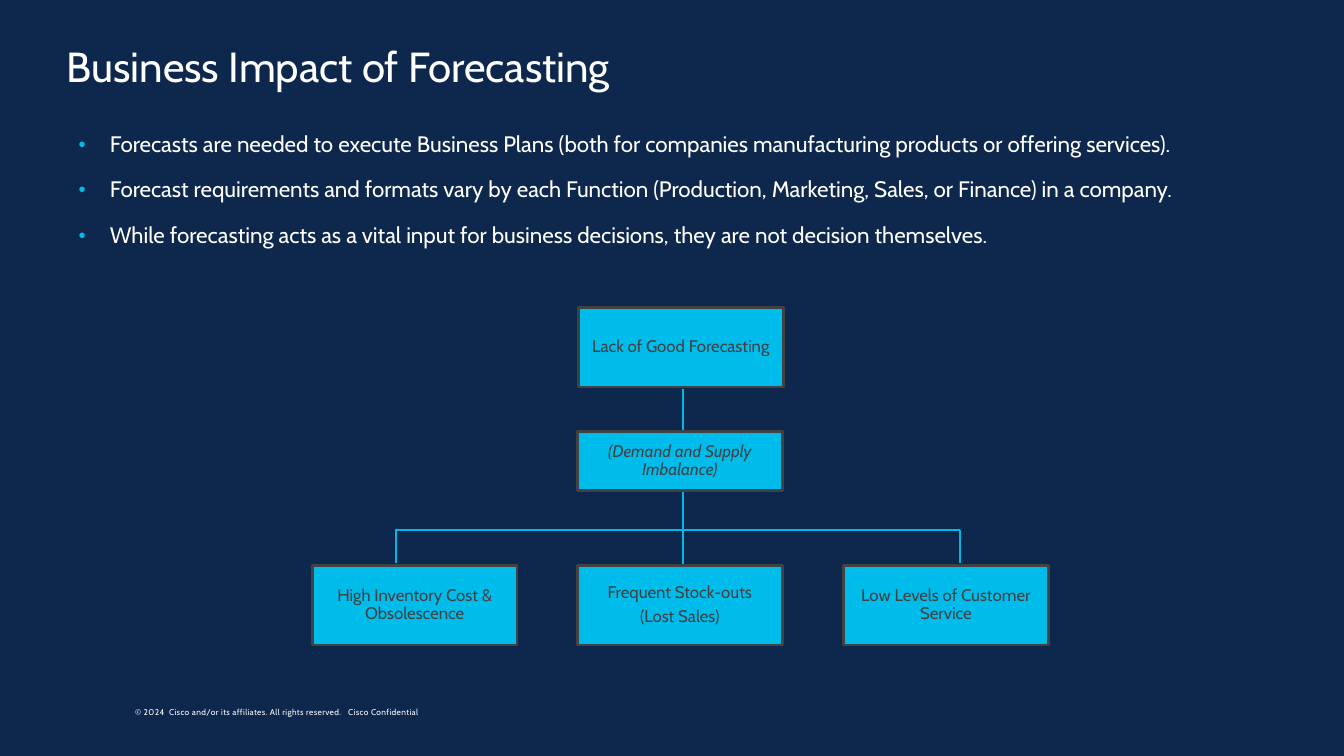
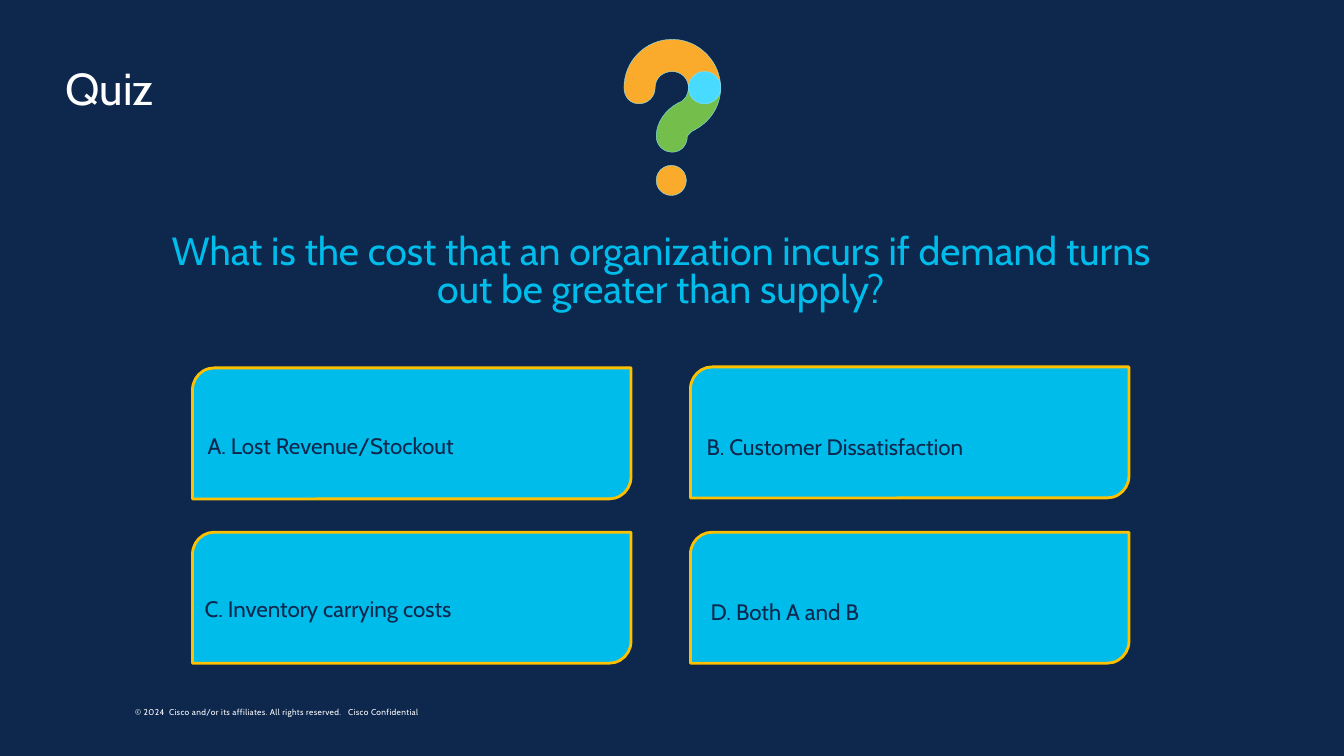
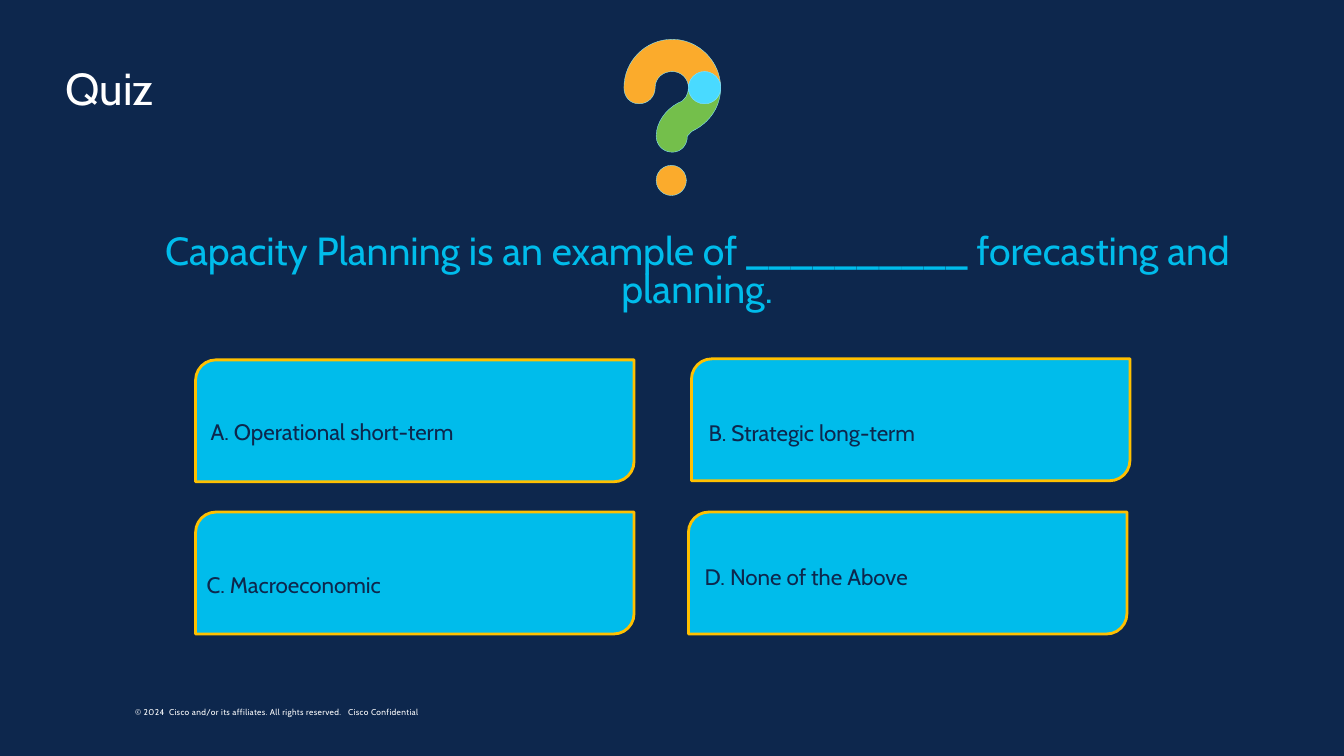
from lxml import etree
from pptx import Presentation
from pptx.dml.color import RGBColor
from pptx.enum.shapes import MSO_CONNECTOR, MSO_SHAPE
from pptx.enum.text import MSO_ANCHOR, MSO_AUTO_SIZE, PP_ALIGN
from pptx.oxml.ns import qn
from pptx.util import Pt

PX = 9144
LEFT, CENTER = PP_ALIGN.LEFT, PP_ALIGN.CENTER
TOP, MIDDLE, BOTTOM = MSO_ANCHOR.TOP, MSO_ANCHOR.MIDDLE, MSO_ANCHOR.BOTTOM
RECTANGLE, OVAL = MSO_SHAPE.RECTANGLE, MSO_SHAPE.OVAL
CARD = MSO_SHAPE.ROUND_2_DIAG_RECTANGLE
STRAIGHT = MSO_CONNECTOR.STRAIGHT
NO_FIT = MSO_AUTO_SIZE.NONE


class Theme:
    font = "Cabin"
    navy = RGBColor.from_string("0D274D")
    white = RGBColor.from_string("FFFFFF")
    cyan = RGBColor.from_string("00BCEB")
    link = RGBColor.from_string("00B8E6")
    gray = RGBColor.from_string("414244")
    gold = RGBColor.from_string("FFC000")
    orange = RGBColor.from_string("FBAB2C")
    green = RGBColor.from_string("74BF4B")
    sky = RGBColor.from_string("49DAFF")
    rim = RGBColor.from_string("83E6FF")
    title, quiz, question, body, node, footer = 30, 32, 28, 16, 12, 6


def write(box, at, lines, size, color, align=LEFT, anchor=TOP,
          inset=(10, 5), leading=1.0, before=0, after=0):
    box.left, box.top, box.width, box.height = [n * PX for n in at]
    frame = box.text_frame
    frame.text = "\n".join(lines)
    frame.word_wrap = True
    frame.auto_size = NO_FIT
    frame.vertical_anchor = anchor
    frame.margin_left = frame.margin_right = inset[0] * PX
    frame.margin_top = frame.margin_bottom = inset[1] * PX
    for index, para in enumerate(frame.paragraphs):
        para.alignment = align
        para.line_spacing = leading
        para.space_before = Pt(before if index else 0)
        para.space_after = Pt(after)
        for span in para.runs:
            span.font.name = Theme.font
            span.font.size = Pt(size)
            span.font.color.rgb = color
    return frame


def paint(shape, fill, line, width):
    shape.shadow.inherit = False
    shape.fill.solid()
    shape.fill.fore_color.rgb = fill
    shape.line.color.rgb = line
    shape.line.width = Pt(width)


deck = Presentation()
deck.slide_width, deck.slide_height = 12192000, 750 * PX
master = deck.slide_master
master.background.fill.solid()
master.background.fill.fore_color.rgb = Theme.navy
content_layout, title_layout = deck.slide_layouts[1], deck.slide_layouts[5]

page = deck.slides.add_slide(content_layout)
footer = page.shapes.add_textbox(0, 0, 0, 0)
notice = "© 2024  Cisco and/or its affiliates. All rights reserved.   Cisco Confidential"
frame = write(footer, (125, 696, 496, 19), [notice], Theme.footer, Theme.white,
              anchor=BOTTOM, inset=(9, 4))
frame.paragraphs[0].runs[0]._r.get_or_add_rPr().set("spc", "25")
master.shapes.element.append(footer.element)

write(page.shapes.title, (56, 42, 701, 46), ["Business Impact of Forecasting"],
      Theme.title, Theme.white, anchor=MIDDLE)
points = [
    "Forecasts are needed to execute Business Plans (both for companies manufacturing products or offering services).",
    "Forecast requirements and formats vary by each Function (Production, Marketing, Sales, or Finance) in a company.",
    "While forecasting acts as a vital input for business decisions, they are not decision themselves.",
]
frame = write(page.placeholders[1], (66, 126, 1254, 182), points, Theme.body, Theme.white,
              inset=(5, 5), leading=0.95, before=14.3)
for para in frame.paragraphs:
    props = para._p.get_or_add_pPr()
    props.set("marL", str(38 * PX))
    props.set("indent", str(-31 * PX))
    bullet_color = etree.SubElement(props, qn("a:buClr"))
    etree.SubElement(bullet_color, qn("a:srgbClr")).set("val", str(Theme.cyan))
    etree.SubElement(props, qn("a:buSzPct")).set("val", "90000")
    etree.SubElement(props, qn("a:buChar")).set("char", "•")

branches = [(678, 386, 678, 564), (392, 526, 952, 526),
            (952, 526, 952, 559), (393, 526, 393, 559)]
for ends in branches:
    branch = page.shapes.add_connector(STRAIGHT, *[n * PX for n in ends])
    branch.line.color.rgb = Theme.link
    branch.line.width = Pt(1.5)
    etree.SubElement(branch.element.spPr, qn("a:effectLst"))

nodes = [
    (574, 305, 79, False, ["Lack of Good Forecasting"]),
    (573, 428, 59, True, ["(Demand and Supply Imbalance)"]),
    (310, 561, 79, False, ["High Inventory Cost & Obsolescence"]),
    (573, 561, 79, False, ["Frequent Stock-outs", "(Lost Sales)"]),
    (837, 561, 79, False, ["Low Levels of Customer Service"]),
]
for left, top, height, italic, lines in nodes:
    node = page.shapes.add_shape(RECTANGLE, 0, 0, 0, 0)
    paint(node, Theme.cyan, Theme.gray, 2)
    frame = write(node, (left, top, 203, height), lines, Theme.node, Theme.gray,
                  CENTER, MIDDLE, (1, 1), 0.9, after=4.2)
    for para in frame.paragraphs:
        para.runs[0].font.italic = italic

hook = [(667, 39),
        (640, 39), (619, 61), (619, 87), (619, 96), (625, 103), (634, 103),
        (643, 103), (650, 96), (650, 87), (650, 78), (657, 71), (667, 71),
        (676, 71), (683, 78), (683, 87), (683, 79), (690, 71), (699, 71),
        (707, 71), (715, 79), (715, 87), (715, 61), (693, 39), (667, 39)]
stem = [(715, 87),
        (715, 96), (707, 103), (699, 103), (690, 103), (683, 96), (683, 87),
        (683, 93), (680, 100), (673, 102), (660, 109), (651, 122), (651, 135),
        (651, 144), (658, 151), (667, 151), (675, 151), (682, 145), (682, 135),
        (683, 135), (684, 132), (687, 130), (704, 122), (715, 106), (715, 87)]

quizzes = [
    ("What is the cost that an organization incurs if demand turns out be greater than supply?",
     1003, 130, 70,
     [((191, 365), (206, 385), "A. Lost Revenue/Stockout"),
      ((685, 364), (701, 386), "B. Customer Dissatisfaction"),
      ((191, 528), (203, 547), "C. Inventory carrying costs"),
      ((685, 528), (705, 550), "D. Both A and B")]),
    ("Capacity Planning is an example of __________ forecasting and planning.",
     1075, 121, 65,
     [((194, 357), (209, 376), "A. Operational short-term"),
      ((686, 356), (703, 377), "B. Strategic long-term"),
      ((194, 508), (205, 528), "C. Macroeconomic"),
      ((683, 508), (699, 520), "D. None of the Above")]),
]
for question, question_width, card_height, label_height, answers in quizzes:
    page = deck.slides.add_slide(title_layout)
    write(page.shapes.title, (55, 59, 286, 25), ["Quiz"], Theme.quiz, Theme.white,
          leading=0.95)
    write(page.shapes.add_textbox(0, 0, 0, 0), (154, 170, question_width, 202), [question],
          Theme.question, Theme.cyan, CENTER, MIDDLE, (5, 5), 0.8)

    for (left, top), label_corner, answer in answers:
        card = page.shapes.add_shape(CARD, left * PX, top * PX, 435 * PX, card_height * PX)
        paint(card, Theme.cyan, Theme.gold, 2)
        write(page.shapes.add_textbox(0, 0, 0, 0), (*label_corner, 437, label_height), [answer],
              Theme.body, Theme.navy, anchor=BOTTOM, inset=(0, 0))

    for curve, color in [(hook, Theme.orange), (stem, Theme.green)]:
        builder = page.shapes.build_freeform(*curve[0], scale=PX)
        builder.add_line_segments(curve[1:], close=True)
        stroke = builder.convert_to_shape()
        paint(stroke, color, Theme.rim, 0.25)
        segments = list(stroke.element.iter(qn("a:lnTo")))
        for i in range(0, len(segments), 3):
            first, *others = segments[i:i + 3]
            bend = etree.Element(qn("a:cubicBezTo"))
            first.addprevious(bend)
            for segment in (first, *others):
                bend.append(segment[0])
                segment.getparent().remove(segment)
    for left, top, size, color in [(651, 164, 30, Theme.orange), (683, 71, 32, Theme.sky)]:
        dot = page.shapes.add_shape(OVAL, left * PX, top * PX, size * PX, size * PX)
        paint(dot, color, Theme.rim, 0.25)

deck.save("out.pptx")
